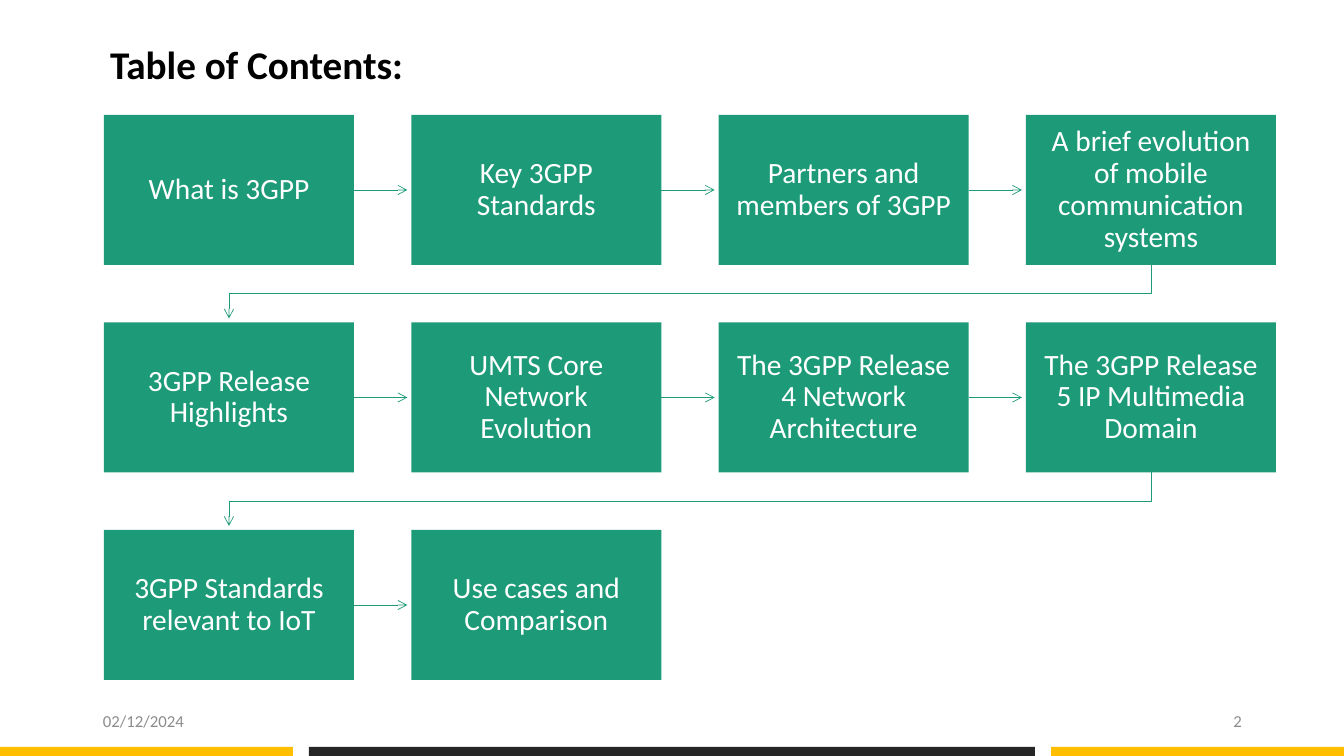
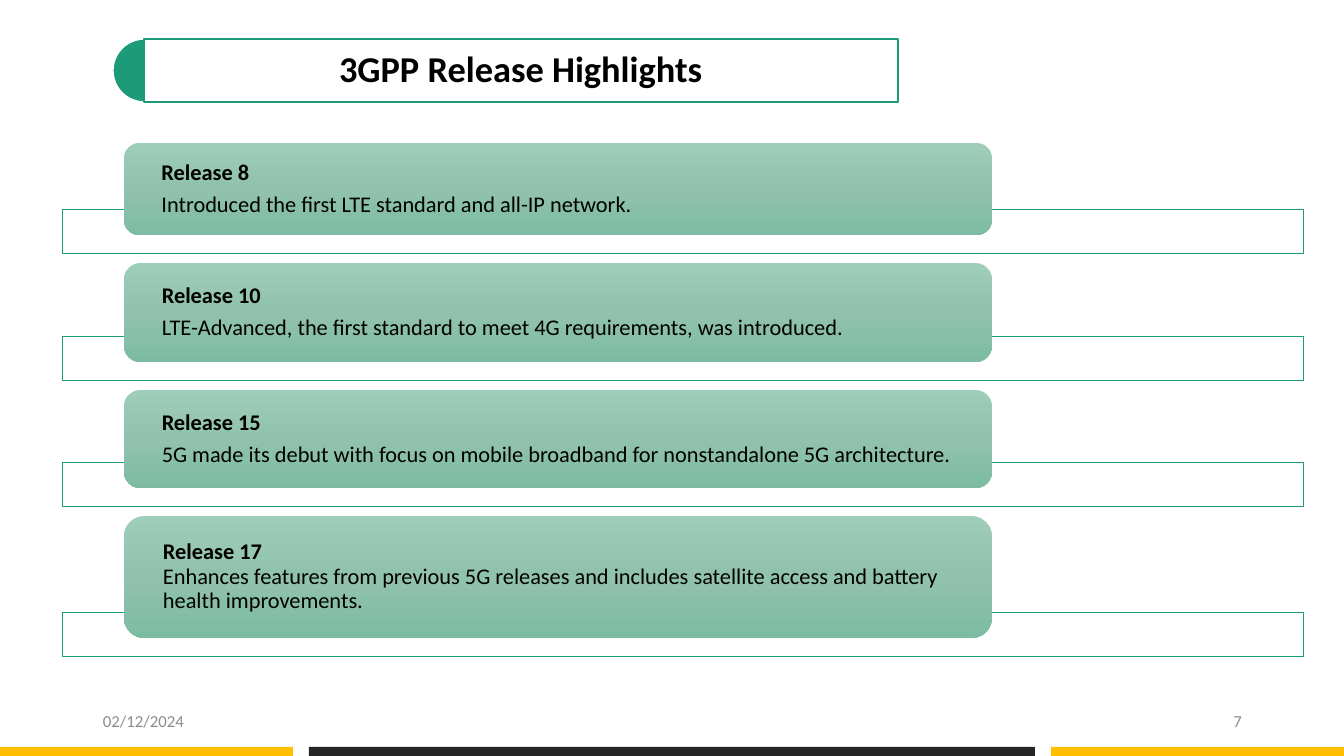
from copy import deepcopy

from lxml import etree
from pptx import Presentation
from pptx import util as u
from pptx.dml.color import RGBColor
from pptx.enum import shapes, text
from pptx.oxml import ns


class Theme:
    font = "Calibri"
    green, gold, dark = "1D9A78", "FFBE00", "262626"
    white, black, grey = "FFFFFF", "000000", "8C8C8C"
    fade = ("9ECDBA", "91C2AE", "7DBCA3")
    head, sub, step, body, foot = 28, 26, 21, 16, 12
    thin, edge = 0.5, 1


WIDE, HIGH = 1344, 756
UNIT = u.Inches(40 / 3) / WIDE
KIND = shapes.MSO_SHAPE
LEFT, MID, RIGHT = text.PP_ALIGN.LEFT, text.PP_ALIGN.CENTER, text.PP_ALIGN.RIGHT


def put(item, words, size, color=Theme.black, bold=False, lead=False, align=LEFT,
        anchor=text.MSO_ANCHOR.MIDDLE, pad=(10, 5), line=0.9, after=0.35):
    """Fill a shape with text; a line feed starts a paragraph, a tab of type \\v a line."""
    frame = item.text_frame
    frame.word_wrap = True
    frame.auto_size = text.MSO_AUTO_SIZE.NONE
    frame.vertical_anchor = anchor
    frame.margin_left = frame.margin_right = round(pad[0] * UNIT)
    frame.margin_top = frame.margin_bottom = round(pad[1] * UNIT)
    for i, block in enumerate(words.split("\n")):
        para = frame.add_paragraph() if i else frame.paragraphs[0]
        para.alignment = align
        para.line_spacing = line
        para.space_before = u.Pt(0)
        para.space_after = u.Pt(size * after)
        for j, part in enumerate(block.split("\v")):
            if j:
                para.add_line_break()
            run = para.add_run()
            run.text = part
            run.font.name = Theme.font
            run.font.size = u.Pt(size)
            run.font.bold = bold or (lead and i + j == 0)
            run.font.color.rgb = RGBColor.from_string(color)


def draw(page, kind, x, y, w, h, fill, edge=None, width=Theme.edge):
    """Add a flat preset shape, placed in px."""
    item = page.shapes.add_shape(kind, *(round(n * UNIT) for n in (x, y, w, h)))
    item.shadow.inherit = False
    item.fill.solid()
    item.fill.fore_color.rgb = RGBColor.from_string(fill)
    if edge:
        item.line.color.rgb = RGBColor.from_string(edge)
        item.line.width = u.Pt(width)
    else:
        item.line.fill.background()
    return item


deck = Presentation()
deck.slide_width, deck.slide_height = round(WIDE * UNIT), round(HIGH * UNIT)
base = deck.slide_layouts[5]
toc, news = pages = [deck.slides.add_slide(base) for _ in range(2)]

# Shared bands, kept on the layout
bands = ((0, 293, Theme.gold), (309, 726, Theme.dark), (1051, 293, Theme.gold))
for i, (x, w, color) in enumerate(bands):
    band = draw(toc, KIND.RECTANGLE, x, 747, w, 9, color)
    band.element.nvSpPr.cNvPr.id = 20 + i
    base.shapes.element.append(band.element)

# Titles and footers
titles = (
    (toc, "Table of Contents:", (100, 35, 672, 57),
     dict(size=Theme.head, anchor=text.MSO_ANCHOR.TOP, line=1, after=0)),
    (news, "3GPP Release Highlights", (144, 39, 754, 63),
     dict(size=Theme.sub, align=MID, pad=(11, 11))),
)
for page, words, spot, form in titles:
    title = page.shapes.title
    title.left, title.top, title.width, title.height = (round(n * UNIT) for n in spot)
    put(title, words, bold=True, **form)

for page, number in zip(pages, ("2", "7")):
    for x, words, align in ((93, "02/12/2024", LEFT), (950, number, RIGHT)):
        foot = page.shapes.add_textbox(*(round(n * UNIT) for n in (x, 701, 302, 40)))
        put(foot, words, Theme.foot, Theme.grey, align=align, line=1, after=0)

# Contents: a grid of steps read row by row
steps = (
    "What is 3GPP",
    "Key 3GPP Standards",
    "Partners and members of 3GPP",
    "A brief evolution of mobile communication systems",
    "3GPP Release Highlights",
    "UMTS Core Network Evolution",
    "The 3GPP Release 4 Network Architecture",
    "The 3GPP Release 5 IP Multimedia Domain",
    "3GPP Standards relevant to IoT",
    "Use cases and Comparison",
)
cols, rows = 4, 3
left, top, right, low = 104, 115, 1276, 680
wide, high, short = 250, 150, 4
gapx = (right - left - cols * wide) / (cols - 1)
gapy = (low - top - rows * high) / (rows - 1)
for i, words in enumerate(steps):
    row, col = divmod(i, cols)
    x, y = left + col * (wide + gapx), top + row * (high + gapy)
    step = draw(toc, KIND.RECTANGLE, x, y, wide, high, Theme.green)
    put(step, words, Theme.step, Theme.white, align=MID, pad=(16, 16))
    if i == len(steps) - 1:
        break

    # Arrow to the next step, or down to the next row
    if col < cols - 1:
        ends = (x + wide, y + high / 2, x + wide + gapx - short, y + high / 2)
        arrow = toc.shapes.add_connector(shapes.MSO_CONNECTOR.STRAIGHT,
                                         *(round(n * UNIT) for n in ends))
        arrow.begin_connect(step, 3)
    else:
        start, stop, turn = x + wide / 2, left + wide / 2, y + high + gapy / 2
        bends = ((start, y + high), (start, turn), (stop, turn),
                 (stop, y + high + gapy - short))
        dots = [(round(a * UNIT), round(b * UNIT)) for a, b in bends]
        trace = toc.shapes.build_freeform(*dots[0])
        trace.add_line_segments(dots[1:], close=False)
        arrow = trace.convert_to_shape()
        arrow.fill.background()
    arrow.line.color.rgb = RGBColor.from_string(Theme.green)
    arrow.line.width = u.Pt(Theme.thin)
    props = arrow.element.spPr
    etree.SubElement(props.find(ns.qn("a:ln")), ns.qn("a:tailEnd"), type="arrow")
    etree.SubElement(props, ns.qn("a:effectLst"))

# Highlights: framed title with a half disc behind it
title = news.shapes.title
title.fill.solid()
title.fill.fore_color.rgb = RGBColor.from_string(Theme.white)
title.line.color.rgb = RGBColor.from_string(Theme.green)
title.line.width = u.Pt(Theme.edge)
disc = draw(news, KIND.PIE, 113, 39, 63, 63, Theme.green, Theme.white)
disc.adjustments[0], disc.adjustments[1] = 54, 162
title.element.addprevious(disc.element)

# Release cards, each over an outlined bar
cards = (
    (92, "Release 8\nIntroduced the first LTE standard and all-IP network."),
    (99, "Release 10\nLTE-Advanced, the first standard to meet 4G requirements, "
         "was introduced."),
    (98, "Release 15\n5G made its debut with focus on mobile broadband for "
         "nonstandalone 5G architecture."),
    (122, "Release 17\vEnhances features from previous 5G releases and includes "
          "satellite access and battery health improvements."),
)
y, gap, lap = 143, 28, 26
for high, words in cards:
    draw(news, KIND.RECTANGLE, 62, y + high - lap, 1241, 44,
         Theme.white, Theme.green, Theme.thin)
    card = draw(news, KIND.ROUNDED_RECTANGLE, 124, y, 868, high, Theme.fade[0])
    card.fill.gradient()
    card.fill.gradient_angle = 270
    stops = card.element.spPr.find(".//" + ns.qn("a:gsLst"))
    stops.insert(1, deepcopy(stops[0]))
    for stop, spot, color in zip(card.fill.gradient_stops, (0, 0.5, 1), Theme.fade):
        stop.position = spot
        stop.color.rgb = RGBColor.from_string(color)
    put(card, words, Theme.body, lead=True, pad=(33, 0))
    y += high + gap

deck.save("out.pptx")
